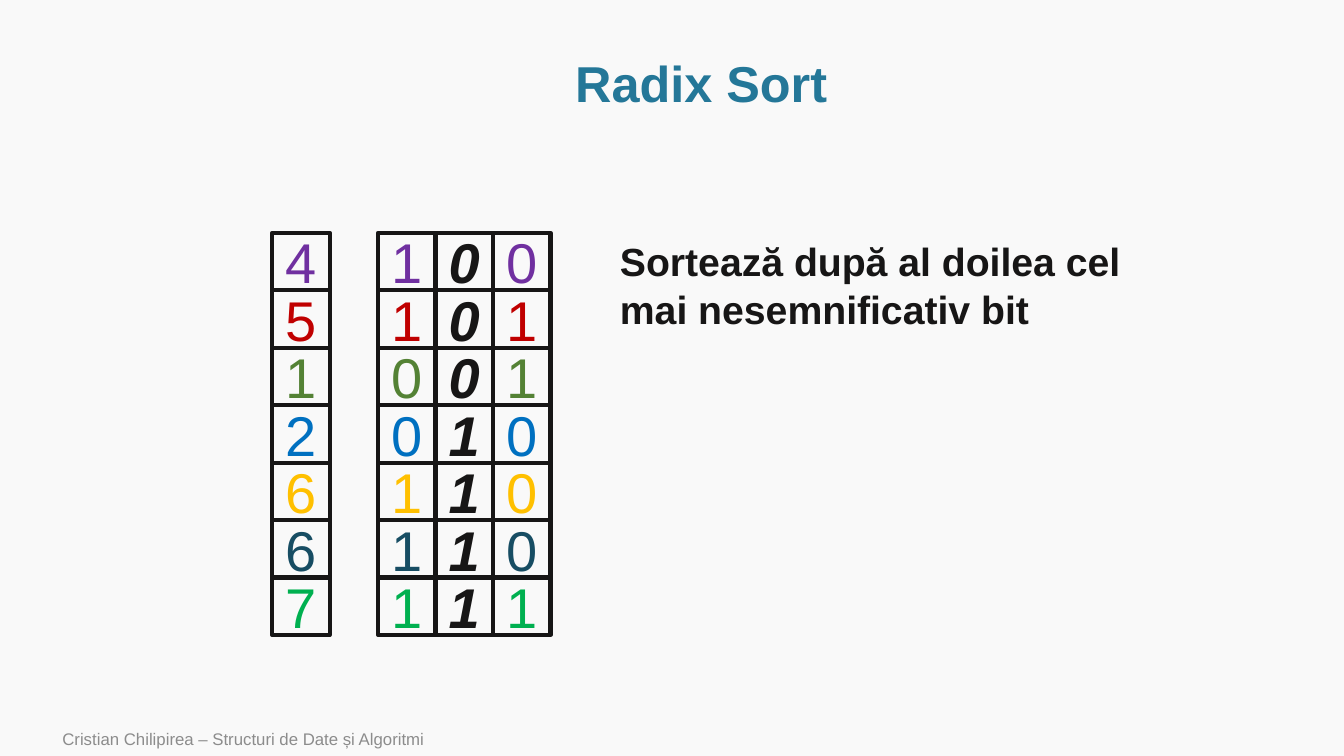
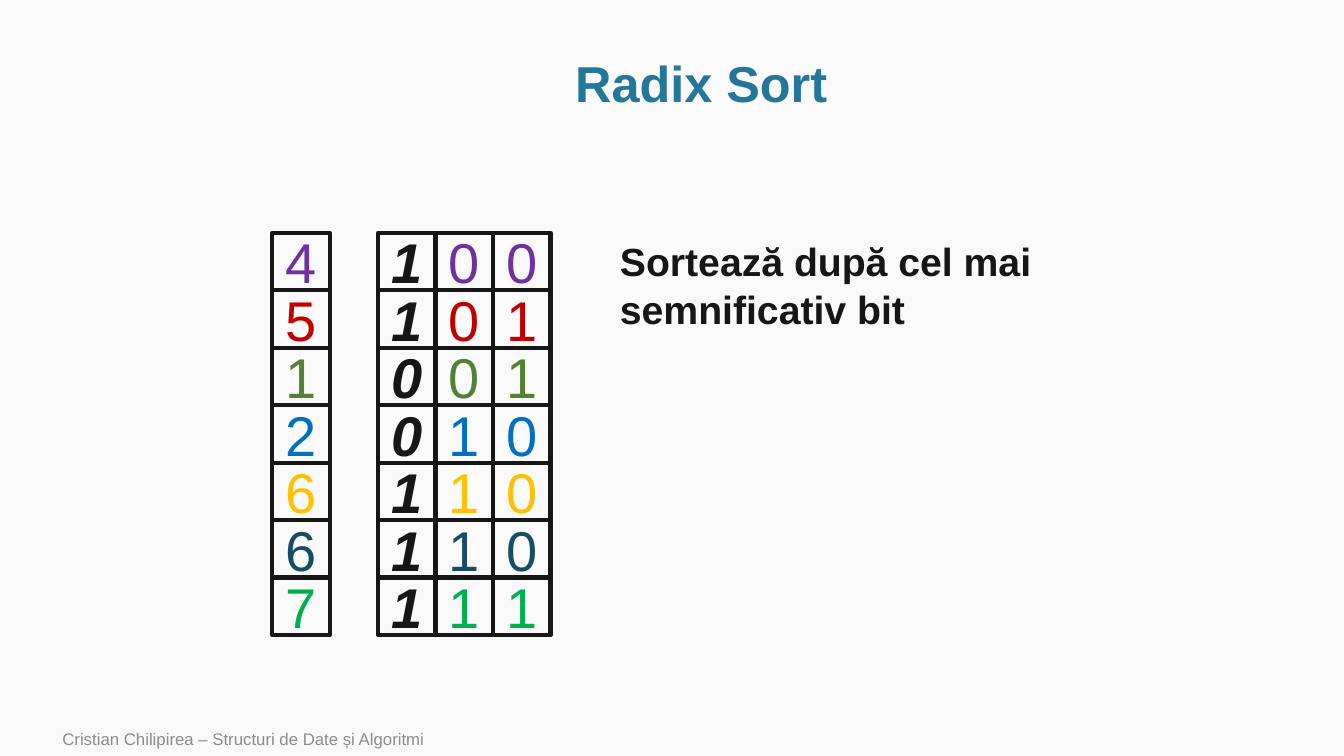
"""Build two slides that show the last passes of a radix sort."""
from dataclasses import dataclass

from pptx import Presentation
from pptx import util as u
from pptx.dml.color import RGBColor
from pptx.enum import shapes, text

WIDE, HIGH = 13.33, 7.5
CELL = 0.57
TOP, LEFT, BITS = 2.31, 2.7, 3.75
FONT = "Arial"
PAPER, INK, TEAL, GREY = "F9F9F9", "171616", "247798", "8C8C8C"
TITLE = "Radix Sort"
FOOTER = "Cristian Chilipirea – Structuri de Date și Algoritmi"


@dataclass(frozen=True)
class Row:
    num: int
    hue: str


@dataclass(frozen=True)
class Pass:
    note: str
    key: int


@dataclass(frozen=True)
class Style:
    size: int
    hue: str
    bold: bool = False
    slant: bool = False
    align: text.PP_ALIGN = text.PP_ALIGN.LEFT
    anchor: text.MSO_ANCHOR = text.MSO_ANCHOR.MIDDLE
    lead: float = 1.0


ROWS = [
    Row(4, "7030A0"),
    Row(5, "C00000"),
    Row(1, "548235"),
    Row(2, "0070C0"),
    Row(6, "FFC000"),
    Row(6, "174D63"),
    Row(7, "00B050"),
]
PASSES = [
    Pass("Sortează după al doilea cel mai nesemnificativ bit", 1),
    Pass("Sortează după cel mai semnificativ bit", 0),
]
HEAD = Style(36, TEAL, bold=True, align=text.PP_ALIGN.CENTER, lead=0.9)
NOTE = Style(28, INK, bold=True, anchor=text.MSO_ANCHOR.TOP)
FOOT = Style(12, GREY)


def paint(code: str) -> RGBColor:
    """Turn a hex string into a colour."""
    return RGBColor.from_string(code)


def write(shape, words: str, style: Style) -> None:
    """Put one styled paragraph into a shape."""
    frame = shape.text_frame
    frame.word_wrap = True
    frame.vertical_anchor = style.anchor
    para = frame.paragraphs[0]
    para.text = words
    para.alignment = style.align
    para.line_spacing = style.lead
    font = para.font
    font.name, font.size = FONT, u.Pt(style.size)
    font.bold, font.italic = style.bold, style.slant
    font.color.rgb = paint(style.hue)


def label(slide, words: str, style: Style, x: float, y: float, w: float, h: float) -> None:
    """Add a text box, in inches."""
    box = slide.shapes.add_textbox(*map(u.Inches, (x, y, w, h)))
    write(box, words, style)


def cell(slide, digit: str, x: float, row: int, hue: str, key: bool = False) -> None:
    """Draw one digit in its square; a key digit stands out."""
    place = map(u.Inches, (x, TOP + row * CELL, CELL, CELL))
    box = slide.shapes.add_shape(shapes.MSO_SHAPE.RECTANGLE, *place)
    box.shadow.inherit = False
    box.fill.background()
    box.line.color.rgb = paint(INK)
    box.line.width = u.Pt(3)
    style = Style(40, INK if key else hue, key, key, text.PP_ALIGN.CENTER)
    write(box, digit, style)


def draw(deck, step: Pass) -> None:
    """Add the slide of one sorting pass."""
    slide = deck.slides.add_slide(deck.slide_layouts[6])
    fill = slide.background.fill
    fill.solid()
    fill.fore_color.rgb = paint(PAPER)
    label(slide, TITLE, HEAD, 1.14, 0.51, 11.63, 0.69)
    for i, row in enumerate(ROWS):
        cell(slide, str(row.num), LEFT, i, row.hue)
    for i, row in enumerate(ROWS):
        for j, bit in enumerate(f"{row.num:03b}"):
            cell(slide, bit, BITS + j * CELL, i, row.hue, j == step.key)
    label(slide, step.note, NOTE, 6.05, TOP, 5.42, 1.04)
    label(slide, FOOTER, FOOT, 0.52, 7.16, 8.4, 0.34)


def main() -> None:
    """Build and save the deck."""
    deck = Presentation()
    deck.slide_width, deck.slide_height = u.Inches(WIDE), u.Inches(HIGH)
    for step in PASSES:
        draw(deck, step)
    deck.save("out.pptx")


if __name__ == "__main__":
    main()
